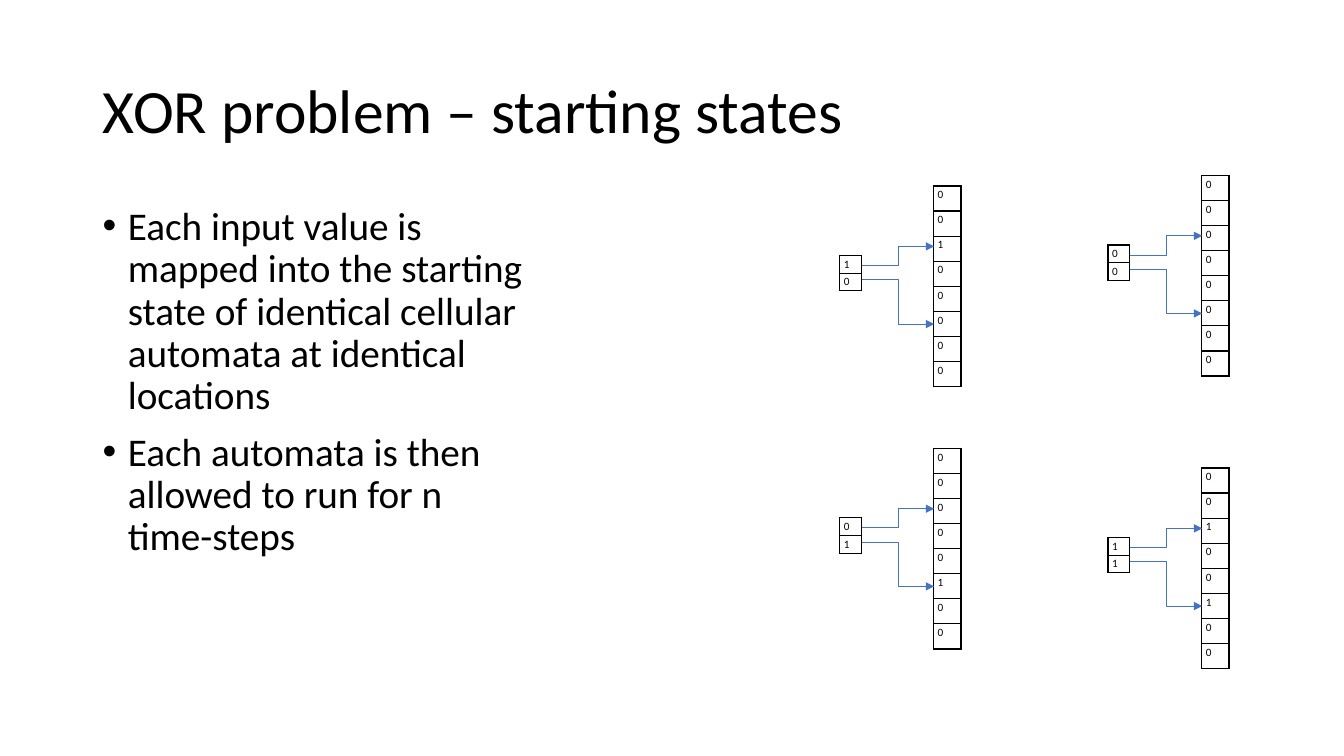
from lxml.etree import SubElement as Sub
from pptx import Presentation
from pptx.dml.color import RGBColor
from pptx.enum.shapes import MSO_CONNECTOR as Conn
from pptx.enum.text import MSO_ANCHOR as Anchor, PP_ALIGN as Align
from pptx.oxml.ns import qn
from pptx.util import Inches, Pt

BLACK = RGBColor(0x00, 0x00, 0x00)
WHITE = RGBColor(0xFF, 0xFF, 0xFF)
BLUE = RGBColor(0x44, 0x72, 0xC4)
FONT = "Calibri"
WIDE, HIGH = Inches(13.33), Inches(7.5)

POINTS = [
    "Each input value is mapped into the starting state of identical "
    "cellular automata at identical locations",
    "Each automata is then allowed to run for n time-steps",
]
# Left and top of each automaton (percent of the slide), then its inputs
CASES = [
    (69.47, 24.6, (1, 0)),
    (89.42, 23.2, (0, 0)),
    (69.47, 59.3, (0, 1)),
    (89.42, 61.9, (1, 1)),
]
CELLS = 8
SLOTS = (2, 5)  # cells that take the inputs
WIRES = [(10.53, 8), (12.4, 18.27)]  # start and end below the top


def across(share):
    return round(WIDE * share / 100)


def down(share):
    return round(HIGH * share / 100)


def style(para, size):
    para.line_spacing = 0.9 if size > 8 else 1
    for run in para.runs:
        run.font.size = Pt(size)
        run.font.name = FONT
        run.font.color.rgb = BLACK


def add_title(slide, text):
    title = slide.shapes.title
    title.left, title.top = across(6.9), down(5.33)
    title.width, title.height = across(86.27), down(19.33)
    frame = title.text_frame
    frame.text = text
    frame.vertical_anchor = Anchor.MIDDLE
    frame.paragraphs[0].alignment = Align.LEFT
    style(frame.paragraphs[0], 44)


def add_points(slide, points):
    box = slide.shapes.add_textbox(
        across(6.9), down(26.67), across(33.5), down(63.5))
    frame = box.text_frame
    frame.word_wrap = True
    frame.text = "\n".join(points)
    for i, para in enumerate(frame.paragraphs):
        props = para._p.get_or_add_pPr()
        props.set("marL", str(Inches(0.25)))
        props.set("indent", str(-Inches(0.25)))
        Sub(props, qn("a:buFont"), typeface="Arial")
        Sub(props, qn("a:buChar"), char="•")
        if i:
            para.space_before = Pt(10)
        style(para, 28)


def add_edges(cell):
    props = cell._tc.get_or_add_tcPr()
    for side in ("L", "R", "T", "B"):
        edge = Sub(props, qn("a:ln" + side), w=str(Pt(1)))
        fill = Sub(edge, qn("a:solidFill"))
        Sub(fill, qn("a:srgbClr"), val=str(BLACK))


def add_stack(slide, left, top, width, row, bits):
    table = slide.shapes.add_table(
        len(bits), 1, across(left), down(top),
        across(width), down(row) * len(bits)).table
    table.first_row = table.horz_banding = False
    for i, bit in enumerate(bits):
        cell = table.cell(i, 0)
        cell.margin_left = cell.margin_right = across(0.3)
        cell.margin_top = cell.margin_bottom = down(0.27)
        cell.text = str(bit)
        style(cell.text_frame.paragraphs[0], 8)
        add_edges(cell)
        cell.fill.solid()
        cell.fill.fore_color.rgb = WHITE


def add_wire(slide, left, start, end):
    wire = slide.shapes.add_connector(
        Conn.ELBOW, across(left), down(start), across(left + 5.4), down(end))
    wire.line.color.rgb = BLUE
    wire.line.width = Pt(0.5)
    Sub(wire.line._get_or_add_ln(), qn("a:tailEnd"), type="triangle")
    Sub(wire._element.spPr, qn("a:effectLst"))


def add_case(slide, left, top, bits):
    states = [0] * CELLS
    for slot, bit in zip(SLOTS, bits):
        states[slot] = bit
    add_stack(slide, left, top, 2.03, 3.32, states)
    add_stack(slide, left - 6.98, top + 9.2, 1.6, 2.34, bits)
    for start, end in WIRES:
        add_wire(slide, left - 5.36, top + start, top + end)


def main():
    deck = Presentation()
    deck.slide_width, deck.slide_height = WIDE, HIGH
    slide = deck.slides.add_slide(deck.slide_layouts[5])

    # Text on the left
    add_title(slide, "XOR problem – starting states")
    add_points(slide, POINTS)

    # The four input pairs, each wired to its automaton
    for left, top, bits in CASES:
        add_case(slide, left, top, bits)

    deck.save("out.pptx")


if __name__ == "__main__":
    main()
